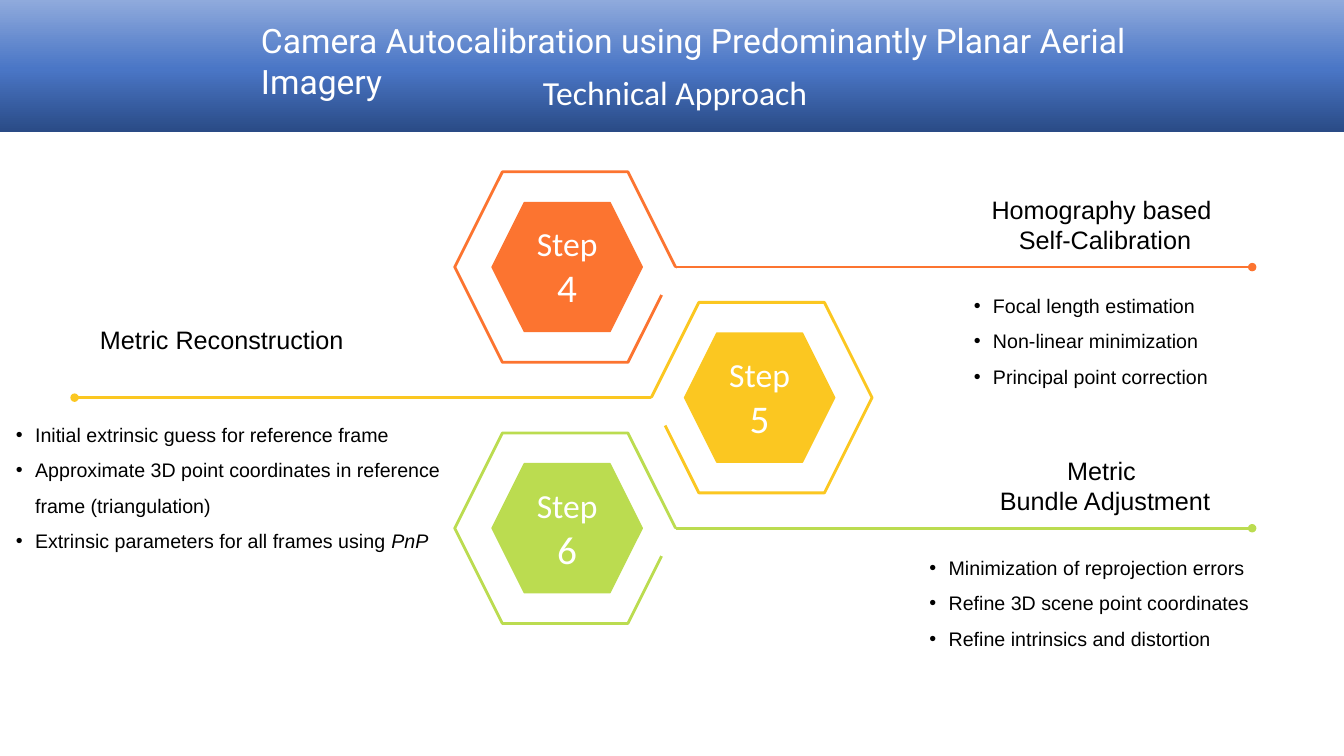
import copy
from dataclasses import dataclass

import lxml.etree
import pptx
import pptx.dml.color
import pptx.enum.shapes
import pptx.enum.text
import pptx.oxml.ns
import pptx.util

RGB = pptx.dml.color.RGBColor
SHAPE = pptx.enum.shapes.MSO_SHAPE
CENTER = pptx.enum.text.PP_ALIGN.CENTER
WIDTH, HEIGHT = pptx.util.Inches(13.33), pptx.util.Inches(7.5)

WHITE = RGB(0xFF, 0xFF, 0xFF)
BLACK = RGB(0x00, 0x00, 0x00)
ORANGE = RGB(0xFC, 0x74, 0x30)
YELLOW = RGB(0xFB, 0xC7, 0x21)
GREEN = RGB(0xBB, 0xDC, 0x50)
BANNER_STOPS = ((0, RGB(0x2A, 0x4B, 0x86)), (0.48, RGB(0x4A, 0x76, 0xC6)),
                (1, RGB(0x8F, 0xAA, 0xDC)))

TITLE = {"name": "Roboto", "size": 24, "color": WHITE}
LABEL = {"name": "Calibri", "size": 24, "color": WHITE}
HEADING = {"name": "Arial", "size": 18, "color": BLACK}
BULLET = {"name": "Arial", "size": 14, "color": BLACK}

# All lengths are percentages of the slide's width (x) or height (y)
FIRST_ROW, ROW_PITCH = 35.33, 17.27
INNER_SIZE, OUTER_SIZE, GAP_SIZE = (11.18, 17.07), (16.43, 25.2), (1.8, 4)
INNER_SHIFT, GAP_DX, GAP_DY, GAP_TILT = 0.15, 7.8, 2, 26.7


@dataclass
class Box:
    left: float
    top: float
    width: float
    height: float

    def emu(self) -> tuple[int, int, int, int]:
        return x(self.left), y(self.top), x(self.width), y(self.height)


@dataclass
class Step:
    number: int
    color: RGB
    center: float
    side: int  # 1: line runs right, -1: line runs left
    line_end: float
    heading: list[str]
    heading_box: Box
    bullets: list[str]
    bullet_box: Box
    italic_end: str = ""


STEPS = [
    Step(4, ORANGE, 42.05, 1, 93.17,
         ["Homography based ", "Self-Calibration"], Box(66.39, 25.07, 31.66, 9.47),
         ["Focal length estimation", "Non-linear minimization",
          "Principal point correction"], Box(71.72, 36.67, 31.66, 15.47)),
    Step(5, YELLOW, 56.67, -1, 5.55,
         ["Metric Reconstruction"], Box(0.68, 42.27, 31.66, 5.33),
         ["Initial extrinsic guess for reference frame",
          "Approximate 3D point coordinates in reference frame (triangulation)",
          "Extrinsic parameters for all frames using "],
         Box(0.45, 53.73, 33.83, 22.67), "PnP"),
    Step(6, GREEN, 42.05, 1, 93.17,
         ["Metric ", "Bundle Adjustment"], Box(66.39, 59.6, 31.66, 9.47),
         ["Minimization of reprojection errors", "Refine 3D scene point coordinates",
          "Refine intrinsics and distortion"], Box(68.42, 71.33, 31.66, 15.47)),
]


def x(share: float) -> int:
    return round(WIDTH * share / 100)


def y(share: float) -> int:
    return round(HEIGHT * share / 100)


def centered(cx: float, cy: float, size: tuple[float, float]) -> Box:
    return Box(cx - size[0] / 2, cy - size[1] / 2, *size)


def add_run(p, text: str, style: dict):
    r = p.add_run()
    r.text = text
    for key, value in style.items():
        if key == "color":
            r.font.color.rgb = value
        else:
            setattr(r.font, key, pptx.util.Pt(value) if key == "size" else value)


def add_shape(slide, kind, box: Box, fill=None, line=None, weight: float = 1):
    s = slide.shapes.add_shape(kind, *box.emu())
    s.shadow.inherit = False
    for part, color in ((s.fill, fill), (s.line.fill, line)):
        if color is None:
            part.background()
        else:
            part.solid()
            part.fore_color.rgb = color
    if line is not None:
        s.line.width = pptx.util.Pt(weight)
    return s


def add_text(slide, box: Box, lines: list[str], style: dict, align=None) -> list:
    tf = slide.shapes.add_textbox(*box.emu()).text_frame
    tf.word_wrap = True
    tf.auto_size = pptx.enum.text.MSO_AUTO_SIZE.SHAPE_TO_FIT_TEXT
    for i, line in enumerate(lines):
        p = tf.add_paragraph() if i else tf.paragraphs[0]
        p.alignment = align
        add_run(p, line, style)
    return list(tf.paragraphs)


def add_bullets(slide, step: Step):
    paragraphs = add_text(slide, step.bullet_box, step.bullets, BULLET)
    if step.italic_end:
        add_run(paragraphs[-1], step.italic_end, {**BULLET, "italic": True})
    indent = pptx.util.Inches(0.19)
    for p in paragraphs:
        p.line_spacing = 1.5
        pPr = p._p.get_or_add_pPr()
        pPr.set("marL", str(indent))
        pPr.set("indent", str(-indent))
        qn = pptx.oxml.ns.qn
        lxml.etree.SubElement(pPr, qn("a:buFont")).set("typeface", "Arial")
        lxml.etree.SubElement(pPr, qn("a:buChar")).set("char", "•")


def add_dotted_line(slide, x1: float, x2: float, cy: float, color: RGB):
    s = slide.shapes.add_connector(
        pptx.enum.shapes.MSO_CONNECTOR.STRAIGHT, x(x1), y(cy), x(x2), y(cy))
    s.line.color.rgb = color
    s.line.width = pptx.util.Pt(2)
    qn = pptx.oxml.ns.qn
    lxml.etree.SubElement(s.line._get_or_add_ln(), qn("a:tailEnd")).set("type", "oval")
    lxml.etree.SubElement(s._element.spPr, qn("a:effectLst"))


def add_banner(slide):
    s = add_shape(slide, SHAPE.RECTANGLE, Box(0, 0, 100, 17.47))
    s.fill.gradient()
    s.fill.gradient_angle = 90
    stops = s._element.spPr.find(".//" + pptx.oxml.ns.qn("a:gsLst"))
    stops.append(copy.deepcopy(stops[0]))
    for stop, (position, color) in zip(s.fill.gradient_stops, BANNER_STOPS):
        stop.position = position
        stop.color.rgb = color
    add_text(slide, Box(18.68, 2, 73.52, 6.67),
             ["Camera Autocalibration using Predominantly Planar Aerial Imagery"], TITLE)
    add_text(slide, Box(38.33, 8.8, 23.78, 6.67), ["Technical Approach"], LABEL, CENTER)


def add_step(slide, step: Step, cy: float):
    # Filled hexagon with its label
    inner = centered(step.center + step.side * INNER_SHIFT, cy, INNER_SIZE)
    s = add_shape(slide, SHAPE.HEXAGON, inner, step.color, step.color)
    tf = s.text_frame
    tf.vertical_anchor = pptx.enum.text.MSO_ANCHOR.MIDDLE
    p = tf.paragraphs[0]
    p.alignment = CENTER
    for text, size in (("Step", 24), (" ", 12), (str(step.number), 28)):
        add_run(p, text, {**LABEL, "size": size})

    # Outline, opened by a tilted white gap
    add_shape(slide, SHAPE.HEXAGON, centered(step.center, cy, OUTER_SIZE),
              line=step.color, weight=2)
    gap = centered(step.center + step.side * GAP_DX, cy + GAP_DY, GAP_SIZE)
    s = add_shape(slide, SHAPE.RECTANGLE, gap, WHITE)
    s.rotation = step.side * GAP_TILT

    # Line and texts
    corner = step.center + step.side * OUTER_SIZE[0] / 2
    add_dotted_line(slide, corner, step.line_end, cy, step.color)
    add_text(slide, step.heading_box, step.heading, HEADING, CENTER)
    add_bullets(slide, step)


def main():
    prs = pptx.Presentation()
    prs.slide_width, prs.slide_height = WIDTH, HEIGHT
    slide = prs.slides.add_slide(prs.slide_layouts[6])
    add_banner(slide)
    for row, step in enumerate(STEPS):
        add_step(slide, step, FIRST_ROW + row * ROW_PITCH)
    prs.save("out.pptx")


if __name__ == "__main__":
    main()
